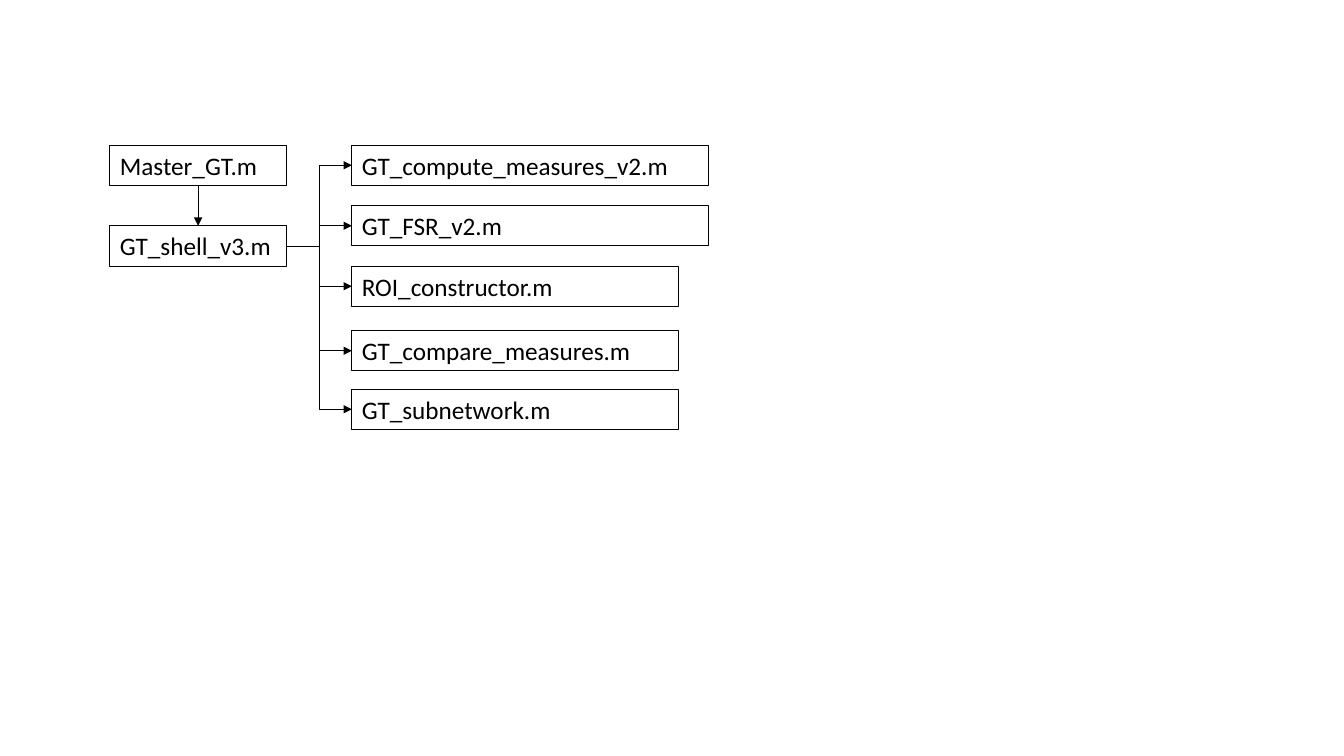
from lxml.etree import SubElement
from pptx import Presentation
from pptx.dml.color import RGBColor
from pptx.enum.shapes import MSO_CONNECTOR
from pptx.enum.text import MSO_AUTO_SIZE
from pptx.oxml.ns import qn
from pptx.util import Inches, Pt

# Content: scripts with their top and width in inches
CALLERS = [("Master_GT.m", 1.44, 1.75), ("GT_shell_v3.m", 2.24, 1.75)]
CALLED = [
    ("GT_compute_measures_v2.m", 1.44, 3.54),
    ("GT_FSR_v2.m", 2.04, 3.54),
    ("ROI_constructor.m", 2.64, 3.24),
    ("GT_compare_measures.m", 3.28, 3.24),
    ("GT_subnetwork.m", 3.86, 3.24),
]
CALLER_LEFT, CALLED_LEFT = 1.09, 3.49
BOX_HEIGHT = 0.4
LEFT_SIDE, BOTTOM_SIDE, RIGHT_SIDE, TOP_SIDE = 1, 2, 3, 0

presentation = Presentation()
presentation.slide_width = Inches(13.33)
presentation.slide_height = Inches(7.5)
slide = presentation.slides.add_slide(presentation.slide_layouts[6])


def color(value):
    return RGBColor.from_string(value)


def add_box(text, left, top, width, size=18, font="Calibri", ink="000000"):
    shape = slide.shapes.add_textbox(
        Inches(left), Inches(top), Inches(width), Inches(BOX_HEIGHT))
    shape.line.color.rgb = color(ink)
    shape.line.width = Pt(0.75)
    frame = shape.text_frame
    frame.word_wrap = True
    frame.auto_size = MSO_AUTO_SIZE.SHAPE_TO_FIT_TEXT
    run = frame.paragraphs[0].add_run()
    run.text = text
    run.font.size = Pt(size)
    run.font.name = font
    run.font.color.rgb = color(ink)
    return shape


def add_arrow(kind, source, source_side, target, target_side):
    connector = slide.shapes.add_connector(kind, 0, 0, 0, 0)
    connector.begin_connect(source, source_side)
    connector.end_connect(target, target_side)
    connector.line.color.rgb = color("000000")
    connector.line.width = Pt(0.5)
    SubElement(connector.line._get_or_add_ln(), qn("a:tailEnd"), type="triangle")
    SubElement(connector._element.spPr, qn("a:effectLst"))


# Boxes
master, shell = [add_box(text, CALLER_LEFT, top, width)
                 for text, top, width in CALLERS]
called_boxes = [add_box(text, CALLED_LEFT, top, width)
                for text, top, width in CALLED]

# Call arrows
add_arrow(MSO_CONNECTOR.STRAIGHT, master, BOTTOM_SIDE, shell, TOP_SIDE)
for box in called_boxes:
    add_arrow(MSO_CONNECTOR.ELBOW, shell, RIGHT_SIDE, box, LEFT_SIDE)

presentation.save("out.pptx")
